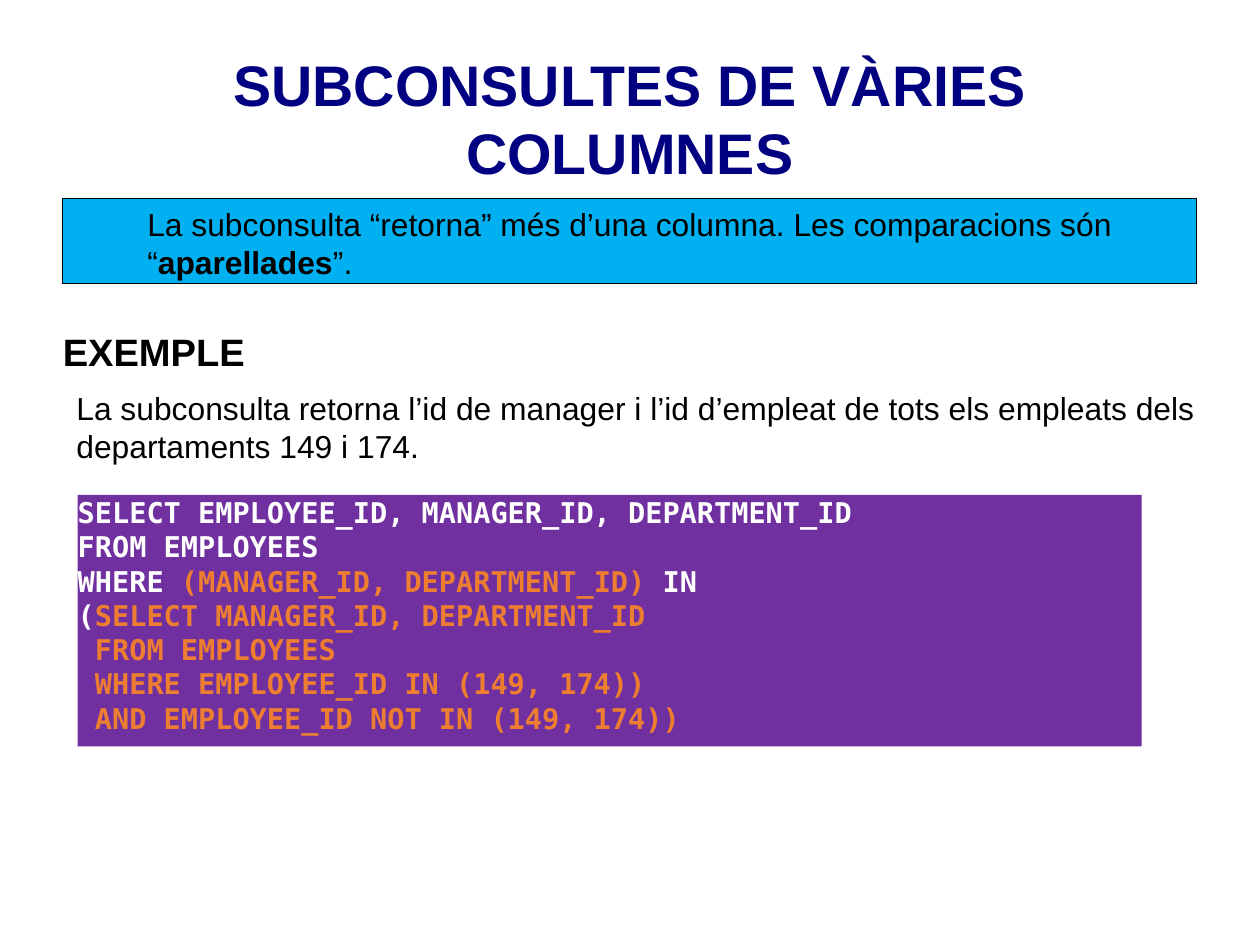
from dataclasses import dataclass
from typing import Optional

from pptx import Presentation
from pptx.dml.color import RGBColor
from pptx.enum.shapes import MSO_SHAPE as Preset
from pptx.enum.text import MSO_ANCHOR as Anchor, MSO_AUTO_SIZE as AutoSize, PP_ALIGN as Align
from pptx.util import Emu, Inches, Pt


@dataclass(frozen=True)
class Theme:
    sans: str = "Arial"
    mono: str = "DejaVu Sans Mono"
    navy: str = "000080"
    black: str = "000000"
    white: str = "FFFFFF"
    sky: str = "00B0F0"
    purple: str = "7030A0"
    orange: str = "ED7D31"
    title_size: int = 36
    heading_size: int = 24
    body_size: int = 20
    code_size: int = 18


THEME = Theme()
# The 28 x 21 cm screen format, in the exact units that office suites store.
SLIDE_WIDTH, SLIDE_HEIGHT = Emu(10080625), Emu(7559675)


@dataclass(frozen=True)
class Span:
    text: str
    color: str = THEME.black
    bold: bool = False


@dataclass(frozen=True)
class Block:
    """Text lines in a box given as left, top, width, height in inches."""
    box: tuple[float, float, float, float]
    lines: list[list[Span]]
    size: int
    font: str = THEME.sans
    fill: Optional[str] = None
    outline: Optional[str] = None
    padding: tuple[float, float] = (0, 0)
    indent: float = 0
    space_after: float = 0
    align: Align = Align.LEFT
    anchor: Anchor = Anchor.TOP


def code(text: str, color: str = THEME.white) -> Span:
    return Span(text, color, bold=True)


TITLE = Block((0.55, 0.42, 9.92, 1.22),
              [[Span("SUBCONSULTES DE VÀRIES COLUMNES", THEME.navy, True)]],
              THEME.title_size, align=Align.CENTER, anchor=Anchor.MIDDLE)

BODY_PADDING = (0.1, 0.05)
DEFINITION = Block(
    (0.55, 1.74, 9.92, 0.74),
    [[Span("La subconsulta “retorna” més d’una columna. Les comparacions són “"),
      Span("aparellades", bold=True), Span("”.")]],
    THEME.body_size, fill=THEME.sky, outline=THEME.black,
    padding=BODY_PADDING, indent=0.64)
EXPLANATION = Block(
    (0.57, 3.35, 10.03, 0.74),
    [[Span("La subconsulta retorna l’id de manager i l’id d’empleat de tots "
           "els empleats dels departaments 149 i 174.")]],
    THEME.body_size, padding=BODY_PADDING)
EXAMPLE_HEADING = Block((0.55, 2.87, 9.66, 0.42), [[Span("EXEMPLE", bold=True)]],
                        THEME.heading_size, space_after=14.1)
QUERY = Block(
    (0.68, 4.33, 9.31, 2.2),
    [[code("SELECT EMPLOYEE_ID, MANAGER_ID, DEPARTMENT_ID")],
     [code("FROM EMPLOYEES")],
     [code("WHERE "), code("(MANAGER_ID, DEPARTMENT_ID) ", THEME.orange), code("IN")],
     [code("("), code("SELECT MANAGER_ID, DEPARTMENT_ID", THEME.orange)],
     [code(" FROM EMPLOYEES", THEME.orange)],
     [code(" WHERE EMPLOYEE_ID IN (149, 174))", THEME.orange)],
     [code(" AND EMPLOYEE_ID NOT IN (149, 174))", THEME.orange)]],
    THEME.code_size, font=THEME.mono, fill=THEME.purple, space_after=14.1)


def rgb(color: str) -> RGBColor:
    return RGBColor.from_string(color)


def write_text(shape, block: Block) -> None:
    frame = shape.text_frame
    frame.word_wrap = True
    frame.auto_size = AutoSize.NONE
    frame.vertical_anchor = block.anchor
    across, down = (Inches(value) for value in block.padding)
    frame.margin_left = frame.margin_right = across
    frame.margin_top = frame.margin_bottom = down

    paragraph = frame.paragraphs[0]
    paragraph.alignment = block.align
    paragraph.line_spacing = 1.0
    paragraph.space_before = Pt(0)
    paragraph.space_after = Pt(block.space_after)
    if block.indent:
        properties = paragraph._p.get_or_add_pPr()
        properties.set("marL", str(Inches(block.indent)))
        properties.set("indent", "0")
    for number, line in enumerate(block.lines):
        if number:
            paragraph.add_line_break()
        for span in line:
            run = paragraph.add_run()
            run.text = span.text
            run.font.name = block.font
            run.font.size = Pt(block.size)
            run.font.bold = span.bold
            run.font.color.rgb = rgb(span.color)


def place_title(slide, block: Block) -> None:
    title = slide.shapes.title
    title.left, title.top, title.width, title.height = map(Inches, block.box)
    write_text(title, block)


def add_block(slide, block: Block) -> None:
    """Draw a filled rectangle when the block has a fill, else a plain text box."""
    box = [Inches(value) for value in block.box]
    if block.fill:
        shape = slide.shapes.add_shape(Preset.RECTANGLE, *box)
        shape.shadow.inherit = False
        shape.fill.solid()
        shape.fill.fore_color.rgb = rgb(block.fill)
        if block.outline:
            shape.line.color.rgb = rgb(block.outline)
            shape.line.width = Pt(0.75)
        else:
            shape.line.fill.background()
    else:
        shape = slide.shapes.add_textbox(*box)
    write_text(shape, block)


def main() -> None:
    deck = Presentation()
    deck.slide_width, deck.slide_height = SLIDE_WIDTH, SLIDE_HEIGHT
    title_only = deck.slide_layouts[5]
    slide = deck.slides.add_slide(title_only)
    place_title(slide, TITLE)
    for block in (DEFINITION, EXPLANATION, EXAMPLE_HEADING, QUERY):
        add_block(slide, block)
    deck.save("out.pptx")


if __name__ == "__main__":
    main()
